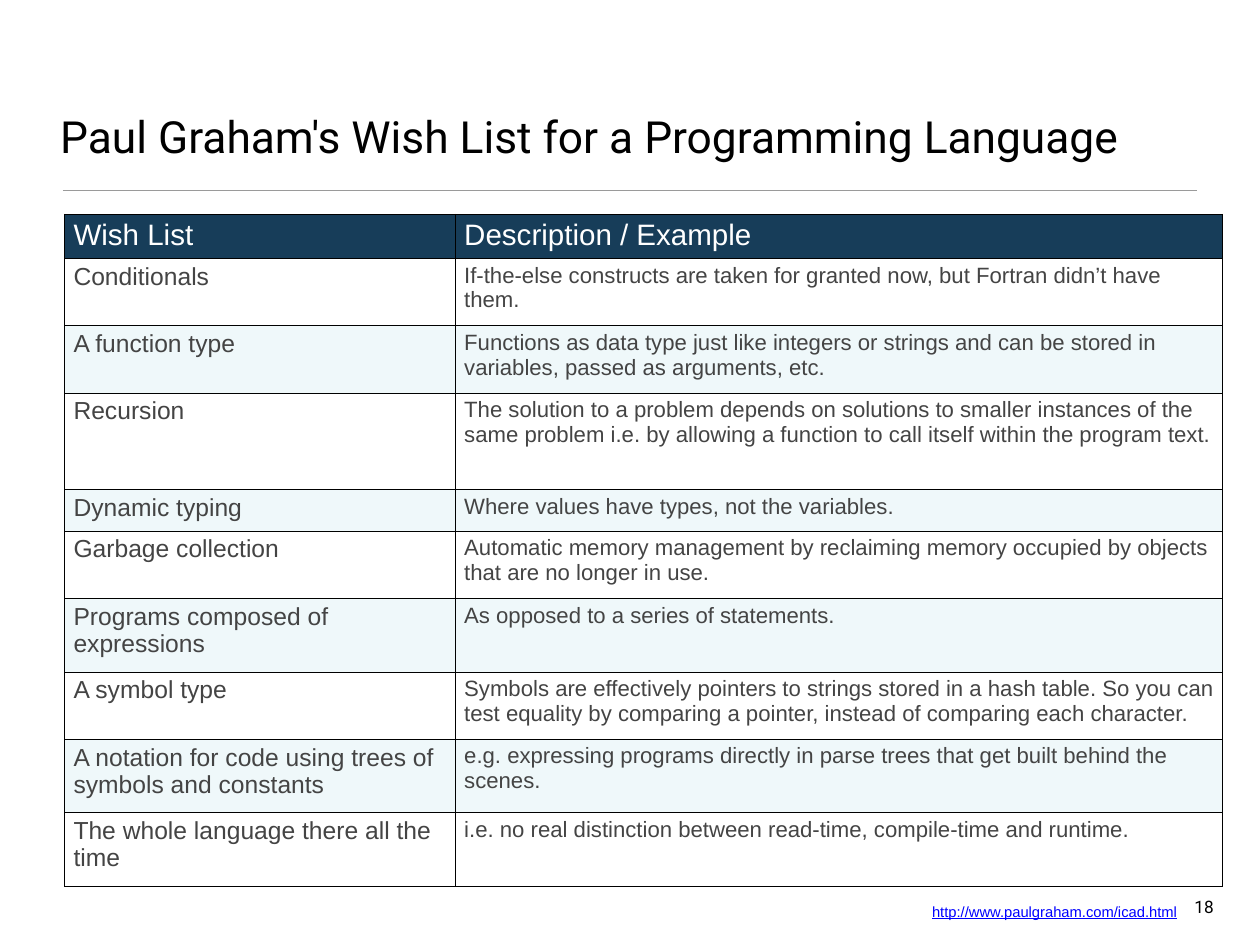
import dataclasses

import lxml.etree
import pptx
import pptx.dml.color
import pptx.enum.shapes
import pptx.enum.text
import pptx.oxml.ns
import pptx.util

Align = pptx.enum.text.PP_ALIGN
Anchor = pptx.enum.text.MSO_ANCHOR
AutoSize = pptx.enum.text.MSO_AUTO_SIZE
qn = pptx.oxml.ns.qn


@dataclasses.dataclass(frozen=True)
class Theme:
    heading_font: str = "Roboto"
    body_font: str = "Arial"
    ink: str = "000000"
    body_ink: str = "444444"
    header_ink: str = "FFFFFF"
    header_fill: str = "173D59"
    band_fill: str = "EFF8FA"
    rule: str = "9A9A9A"
    link: str = "0000FF"
    title_size: int = 36
    header_size: int = 24
    wish_size: int = 20
    description_size: int = 18
    number_size: int = 14
    link_size: int = 12


THEME = Theme()
SLIDE_WIDTH = pptx.util.Inches(14.22)
SLIDE_HEIGHT = pptx.util.Inches(10.67)
COLUMN_SHARES = (31.01, 60.9)
HEADER_SHARE = 4.69
ROW_SHARES = {"short": 4.4, "double": 7.12, "tall": 7.78, "triple": 10.22}

WISHES = [
    ("double", "Conditionals",
     "If-the-else constructs are taken for granted now, but Fortran didn’t have them."),
    ("double", "A function type",
     "Functions as data type just like integers or strings and can be stored in "
     "variables, passed as arguments, etc."),
    ("triple", "Recursion",
     "The solution to a problem depends on solutions to smaller instances of the same "
     "problem i.e. by allowing a function to call itself within the program text."),
    ("short", "Dynamic typing", "Where values have types, not the variables."),
    ("double", "Garbage collection",
     "Automatic memory management by reclaiming memory occupied by objects that are "
     "no longer in use."),
    ("tall", "Programs composed of expressions", "As opposed to a series of statements."),
    ("double", "A symbol type",
     "Symbols are effectively pointers to strings stored in a hash table. So you can "
     "test equality by comparing a pointer, instead of comparing each character."),
    ("tall", "A notation for code using trees of symbols and constants",
     "e.g. expressing programs directly in parse trees that get built behind the scenes."),
    ("tall", "The whole language there all the time",
     "i.e. no real distinction between read-time, compile-time and runtime."),
]


def across(percent):
    return round(SLIDE_WIDTH * percent / 100)


def down(percent):
    return round(SLIDE_HEIGHT * percent / 100)


def region(left, top, width, height):
    return across(left), down(top), across(width), down(height)


def rgb(color):
    return pptx.dml.color.RGBColor.from_string(color)


def write(frame, text, *, size, color, font=THEME.body_font, align=Align.LEFT,
          underline=False, wrap=True, anchor=None, inset=None, fit=None):
    frame.word_wrap = wrap
    if anchor is not None:
        frame.vertical_anchor = anchor
    if fit is not None:
        frame.auto_size = fit
    if inset is not None:
        frame.margin_left = frame.margin_right = pptx.util.Inches(inset)
        frame.margin_top = frame.margin_bottom = pptx.util.Inches(inset)
    paragraph = frame.paragraphs[0]
    paragraph.alignment = align
    run = paragraph.add_run()
    run.text = text
    run.font.size = pptx.util.Pt(size)
    run.font.name = font
    run.font.bold = False
    run.font.underline = underline
    run.font.color.rgb = rgb(color)


def add_title(slide, text):
    title = slide.shapes.title
    title.left, title.top, title.width, title.height = region(4.36, 3.37, 91.21, 14.34)
    write(title.text_frame, text, size=THEME.title_size, color=THEME.ink,
          font=THEME.heading_font, anchor=Anchor.BOTTOM, inset=0.06, fit=AutoSize.NONE)


def add_rule(slide, left, right, height):
    rule = slide.shapes.add_connector(
        pptx.enum.shapes.MSO_CONNECTOR.STRAIGHT,
        across(left), down(height), across(right), down(height))
    rule.line.color.rgb = rgb(THEME.rule)
    rule.line.width = pptx.util.Pt(1)
    lxml.etree.SubElement(rule._element.spPr, qn("a:effectLst"))


def add_label(slide, text, place, **text_format):
    label = slide.shapes.add_textbox(*region(*place))
    write(label.text_frame, text, fit=AutoSize.SHAPE_TO_FIT_TEXT, **text_format)


def border_cell(cell):
    properties = cell._tc.get_or_add_tcPr()
    for side in ("a:lnL", "a:lnR", "a:lnT", "a:lnB"):
        edge = lxml.etree.SubElement(properties, qn(side), w=str(pptx.util.Pt(1)))
        paint = lxml.etree.SubElement(edge, qn("a:solidFill"))
        lxml.etree.SubElement(paint, qn("a:srgbClr"), val=THEME.ink)


def fill_row(cells, texts, sizes, color, fill):
    for cell, text, size in zip(cells, texts, sizes):
        border_cell(cell)
        if fill:
            cell.fill.solid()
            cell.fill.fore_color.rgb = rgb(fill)
        else:
            cell.fill.background()
        write(cell.text_frame, text, size=size, color=color)


def add_wish_table(slide):
    heights = [HEADER_SHARE] + [ROW_SHARES[kind] for kind, _, _ in WISHES]
    place = region(5.13, 22.68, sum(COLUMN_SHARES), sum(heights))
    table = slide.shapes.add_table(len(heights), len(COLUMN_SHARES), *place).table
    table.horz_banding = False
    for column, share in zip(table.columns, COLUMN_SHARES):
        column.width = across(share)
    for row, share in zip(table.rows, heights):
        row.height = down(share)

    fill_row(table.rows[0].cells, ("Wish List", "Description / Example"),
             (THEME.header_size, THEME.header_size), THEME.header_ink, THEME.header_fill)
    for index, (_, wish, description) in enumerate(WISHES, start=1):
        band = THEME.band_fill if index % 2 == 0 else None
        fill_row(table.rows[index].cells, (wish, description),
                 (THEME.wish_size, THEME.description_size), THEME.body_ink, band)


def main():
    deck = pptx.Presentation()
    deck.slide_width = SLIDE_WIDTH
    deck.slide_height = SLIDE_HEIGHT
    slide = deck.slides.add_slide(deck.slide_layouts.get_by_name("Title Only"))

    add_rule(slide, 4.99, 95.01, 20.15)
    add_title(slide, "Paul Graham's Wish List for a Programming Language")
    add_label(slide, "18", (94.37, 94.28, 2.39, 3.09), size=THEME.number_size,
              color=THEME.ink, font=THEME.heading_font, align=Align.RIGHT,
              wrap=False, inset=0.06)
    add_label(slide, "http://www.paulgraham.com/icad.html", (73.28, 95.03, 24.96, 2.81),
              size=THEME.link_size, color=THEME.link, underline=True)
    add_wish_table(slide)
    deck.save("out.pptx")


if __name__ == "__main__":
    main()
